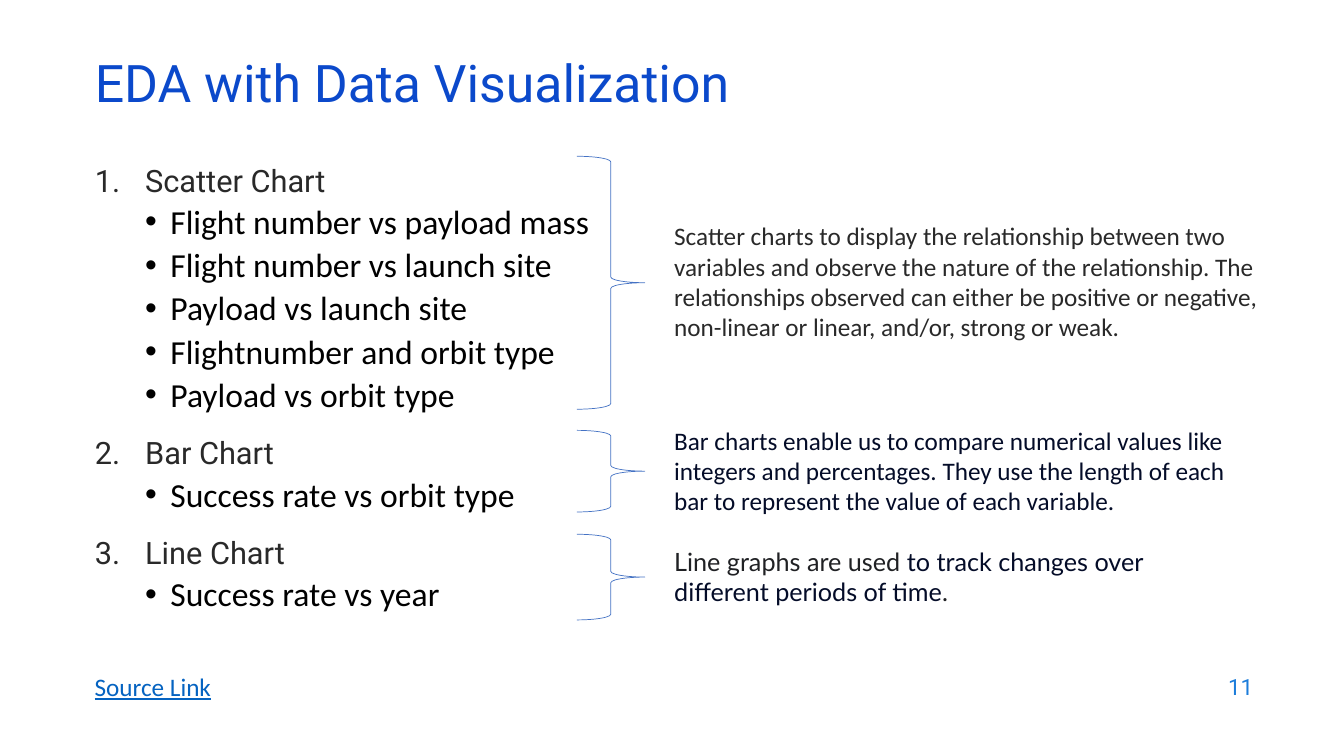
from lxml.etree import SubElement
from pptx import Presentation
from pptx.dml.color import RGBColor
from pptx.enum.shapes import MSO_SHAPE
from pptx.enum.text import MSO_ANCHOR, MSO_AUTO_SIZE, PP_ALIGN
from pptx.oxml.ns import qn
from pptx.util import Pt

THEME = {
    "title": ("Roboto", 37, "0B49CB"),
    "chart": ("Roboto", 22, "292929"),
    "pair": ("Calibri", 24, "000000"),
    "scatter": ("Calibri", 18, "292929"),
    "bar": ("Calibri", 18, "040C28"),
    "line": ("Lato", 18, "202124"),
    "link": ("Calibri", 18, "0563C1"),
    "number": ("Roboto", 16, "1C7DDB"),
    "brace": "4472C4",
    "accent": "040C28",
}

TITLE = "EDA with Data Visualization"
LINK = "Source Link"
PAGE = "11"
CHARTS = [
    ("Scatter Chart", [
        "Flight number vs payload mass",
        "Flight number vs launch site",
        "Payload vs launch site",
        "Flightnumber and orbit type",
        "Payload vs orbit type",
    ]),
    ("Bar Chart", ["Success rate vs orbit type"]),
    ("Line Chart", ["Success rate vs year"]),
]
EXPLANATIONS = [
    {"style": "scatter", "brace": (111.6, 180.7), "note": (154.1, 465.1, 94.3),
     "runs": [("Scatter charts to display the relationship between two variables and "
               "observe the nature of the relationship. The relationships observed can "
               "either be positive or negative, non-linear or linear, and/or, strong or weak.", None)]},
    {"style": "bar", "brace": (307.4, 58.3), "note": (300.2, 430.6, 72.7),
     "runs": [("Bar charts enable us to compare numerical values like integers and "
               "percentages. They use the length of each bar to represent the value "
               "of each variable.", None)]},
    {"style": "line", "brace": (381.6, 61.2), "note": (386.6, 409.7, 51.1),
     "runs": [("Line graphs are used ", None),
              ("to track changes over different periods of time", "accent"),
              (".", None)]},
]

LEFT = 60.5
BRACE_LEFT, BRACE_WIDTH = 412, 48.6
NOTE_LEFT = 474.5


def style_paragraph(paragraph, style):
    name, size, color = THEME[style]
    paragraph.font.name = name
    paragraph.font.size = Pt(size)
    paragraph.font.color.rgb = RGBColor.from_string(color)


def place(placeholder, left, top, width, height):
    placeholder.left, placeholder.top = Pt(left), Pt(top)
    placeholder.width, placeholder.height = Pt(width), Pt(height)
    placeholder.text_frame.auto_size = MSO_AUTO_SIZE.NONE
    return placeholder.text_frame


def add_text(slide, box, runs, style):
    frame = slide.shapes.add_textbox(*map(Pt, box)).text_frame
    frame.word_wrap = True
    paragraph = frame.paragraphs[0]
    style_paragraph(paragraph, style)
    for words, color in runs:
        run = paragraph.add_run()
        run.text = words
        if color:
            run.font.color.rgb = RGBColor.from_string(THEME[color])
    return frame


def add_item(frame, text, style, level, indent, hanging, bullet, before, spacing):
    first = not frame.paragraphs[0].text
    paragraph = frame.paragraphs[0] if first else frame.add_paragraph()
    paragraph.text = text
    paragraph.level = level
    properties = paragraph._p.get_or_add_pPr()
    properties.set("marL", str(Pt(indent)))
    properties.set("indent", str(-Pt(hanging)))
    SubElement(properties, qn("a:buFont"), typeface=bullet[0])
    SubElement(properties, qn(bullet[1]), bullet[2])
    paragraph.space_before = Pt(0 if first else before)
    paragraph.line_spacing = spacing
    style_paragraph(paragraph, style)


def main():
    deck = Presentation()
    deck.slide_width, deck.slide_height = Pt(960), Pt(540)
    slide = deck.slides.add_slide(deck.slide_layouts[1])

    title = place(slide.shapes.title, LEFT, 42.5, 828, 43.2)
    title.text = TITLE
    title.vertical_anchor = MSO_ANCHOR.MIDDLE
    heading = title.paragraphs[0]
    heading.alignment = PP_ALIGN.LEFT
    heading.line_spacing = 0.7
    style_paragraph(heading, "title")

    charts = place(slide.placeholders[1], LEFT, 111.6, 385.2, 349.2)
    number = ("Roboto", "a:buAutoNum", {"type": "arabicPeriod"})
    dot = ("Arial", "a:buChar", {"char": "•"})
    for chart, pairs in CHARTS:
        add_item(charts, chart, "chart", 0, 36, 36, number, 14, 1.0)
        for pair in pairs:
            add_item(charts, pair, "pair", 1, 54, 18, dot, 5, 0.9)

    for explanation in EXPLANATIONS:
        brace_top, brace_height = explanation["brace"]
        brace = slide.shapes.add_shape(
            MSO_SHAPE.RIGHT_BRACE, Pt(BRACE_LEFT), Pt(brace_top), Pt(BRACE_WIDTH), Pt(brace_height))
        brace.shadow.inherit = False
        brace.fill.background()
        brace.line.color.rgb = RGBColor.from_string(THEME["brace"])
        brace.line.width = Pt(0.5)
        top, width, height = explanation["note"]
        add_text(slide, (NOTE_LEFT, top, width, height), explanation["runs"], explanation["style"])

    link = add_text(slide, (LEFT, 475.9, 115, 28.8), [(LINK, None)], "link")
    link.paragraphs[0].font.underline = True
    page = add_text(slide, (686.2, 474.5, 216, 31.7), [(PAGE, None)], "number")
    page.vertical_anchor = MSO_ANCHOR.MIDDLE
    page.paragraphs[0].alignment = PP_ALIGN.RIGHT

    deck.save("out.pptx")


if __name__ == "__main__":
    main()
